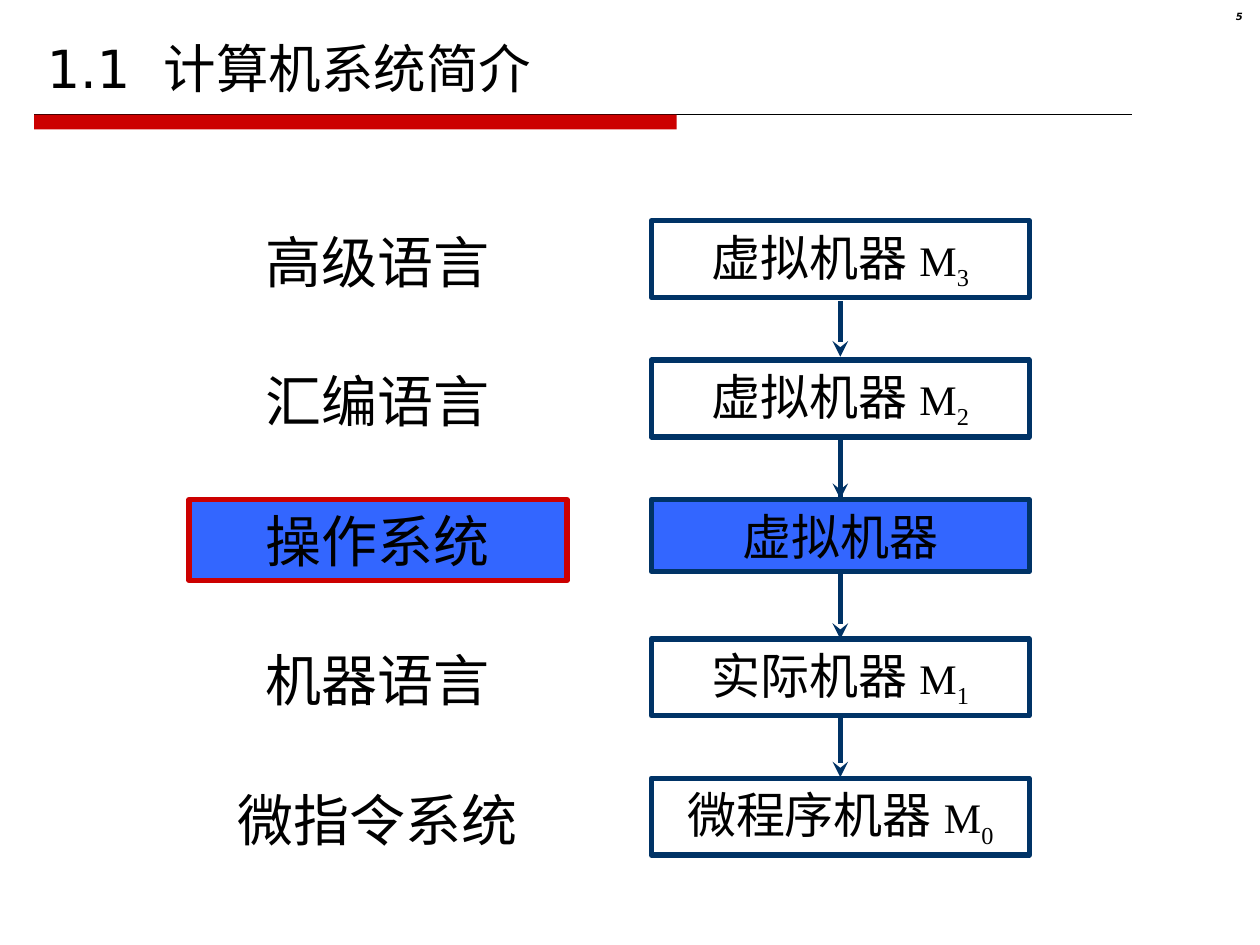
from dataclasses import dataclass

from lxml.etree import SubElement
from pptx import Presentation
from pptx.dml.color import RGBColor
from pptx.enum.shapes import MSO_CONNECTOR, MSO_SHAPE
from pptx.enum.text import MSO_ANCHOR, PP_ALIGN
from pptx.oxml.ns import qn
from pptx.util import Cm, Pt

BLACK, NAVY, RED, BLUE = "000000", "003366", "CC0000", "3366FF"
FIRST_TOP, ROW_PITCH = 4.45, 2.81
LANGUAGE_LEFT, MACHINE_LEFT, BOX_WIDTH = 3.81, 13.13, 7.62
LANGUAGE_HEIGHT, MACHINE_HEIGHT = 1.63, 1.55
ARROW_X = MACHINE_LEFT + BOX_WIDTH / 2


@dataclass
class Level:
    language: str
    machine: str
    index: str = ""
    highlighted: bool = False
    machine_height: float = MACHINE_HEIGHT


@dataclass
class Arrow:
    start: float
    end: float


LEVELS = [
    Level("高级语言", "虚拟机器", "3"),
    Level("汇编语言", "虚拟机器", "2"),
    Level("操作系统", "虚拟机器", highlighted=True, machine_height=1.45),
    Level("机器语言", "实际机器", "1"),
    Level("微指令系统", "微程序机器", "0"),
]
ARROWS = [Arrow(6.07, 7.19), Arrow(8.84, 12.88), Arrow(8.84, 10.06), Arrow(14.43, 15.67)]


def color(value: str) -> RGBColor:
    return RGBColor.from_string(value)


def add_span(para, text: str, size: float, font_name: str):
    span = para.add_run()
    span.text = text
    span.font.size = Pt(size)
    span.font.name = font_name
    span.font.color.rgb = color(BLACK)
    east_asian = SubElement(span._r.get_or_add_rPr(), qn("a:ea"))
    east_asian.set("typeface", font_name)
    return span


def add_box(page, left: float, top: float, width: float, height: float,
            fill: str = "", line: str = ""):
    if fill or line:
        box = page.shapes.add_shape(MSO_SHAPE.RECTANGLE, Cm(left), Cm(top), Cm(width), Cm(height))
        box.shadow.inherit = False
    else:
        box = page.shapes.add_textbox(Cm(left), Cm(top), Cm(width), Cm(height))
    if fill:
        box.fill.solid()
        box.fill.fore_color.rgb = color(fill)
    else:
        box.fill.background()
    if line:
        box.line.color.rgb = color(line)
        box.line.width = Pt(3)
    else:
        box.line.fill.background()
    box.text_frame.word_wrap = True
    box.text_frame.vertical_anchor = MSO_ANCHOR.MIDDLE
    box.text_frame.paragraphs[0].alignment = PP_ALIGN.CENTER
    return box


def add_line(page, start: tuple[float, float], end: tuple[float, float],
             line: str, width: float, arrow: bool = False) -> None:
    connector = page.shapes.add_connector(
        MSO_CONNECTOR.STRAIGHT, *(Cm(value) for value in start + end))
    connector.line.color.rgb = color(line)
    connector.line.width = Pt(width)
    if arrow:
        SubElement(connector.line._get_or_add_ln(), qn("a:tailEnd")).set("type", "stealth")
    SubElement(connector._element.spPr, qn("a:effectLst"))


def add_header(page) -> None:
    add_line(page, (0.69, 2.31), (22.81, 2.31), BLACK, 0.75)
    add_box(page, 0.69, 2.31, 12.95, 0.3, fill=RED)
    title = page.shapes.title
    title.left, title.top, title.width, title.height = Cm(0.69), Cm(0.33), Cm(24), Cm(1.8)
    title.text_frame.vertical_anchor = MSO_ANCHOR.BOTTOM
    para = title.text_frame.paragraphs[0]
    para.alignment = PP_ALIGN.LEFT
    add_span(para, "1.1  计算机系统简介", 30, "DejaVu Sans")

    number = add_box(page, 23.8, 0.13, 1.5, 0.58)
    number.text_frame.vertical_anchor = MSO_ANCHOR.TOP
    para = number.text_frame.paragraphs[0]
    para.alignment = PP_ALIGN.RIGHT
    para.line_spacing = 0.8
    span = add_span(para, "5", 5.7, "DejaVu Sans")
    span.font.bold = span.font.italic = True


def add_level(page, level: Level, top: float) -> None:
    fill = BLUE if level.highlighted else ""
    language = add_box(page, LANGUAGE_LEFT, top, BOX_WIDTH, LANGUAGE_HEIGHT,
                       fill, RED if level.highlighted else "")
    add_span(language.text_frame.paragraphs[0], level.language, 32, "Roboto")

    machine = add_box(page, MACHINE_LEFT, top, BOX_WIDTH, level.machine_height, fill, NAVY)
    para = machine.text_frame.paragraphs[0]
    if level.index:
        add_span(para, level.machine + " ", 28, "Roboto")
        add_span(para, "M", 24, "Times New Roman")
        index = add_span(para, level.index, 24, "Times New Roman")
        index.font._element.set("baseline", "-25000")
    else:
        add_span(para, level.machine, 28, "Roboto")


def main() -> None:
    deck = Presentation()
    deck.slide_width, deck.slide_height = Cm(25.4), Cm(19.05)
    page = deck.slides.add_slide(deck.slide_layouts[5])
    add_header(page)
    for arrow in ARROWS:
        add_line(page, (ARROW_X, arrow.start), (ARROW_X, arrow.end), NAVY, 3, arrow=True)
    for row, level in enumerate(LEVELS):
        add_level(page, level, FIRST_TOP + row * ROW_PITCH)
    deck.save("out.pptx")


if __name__ == "__main__":
    main()
